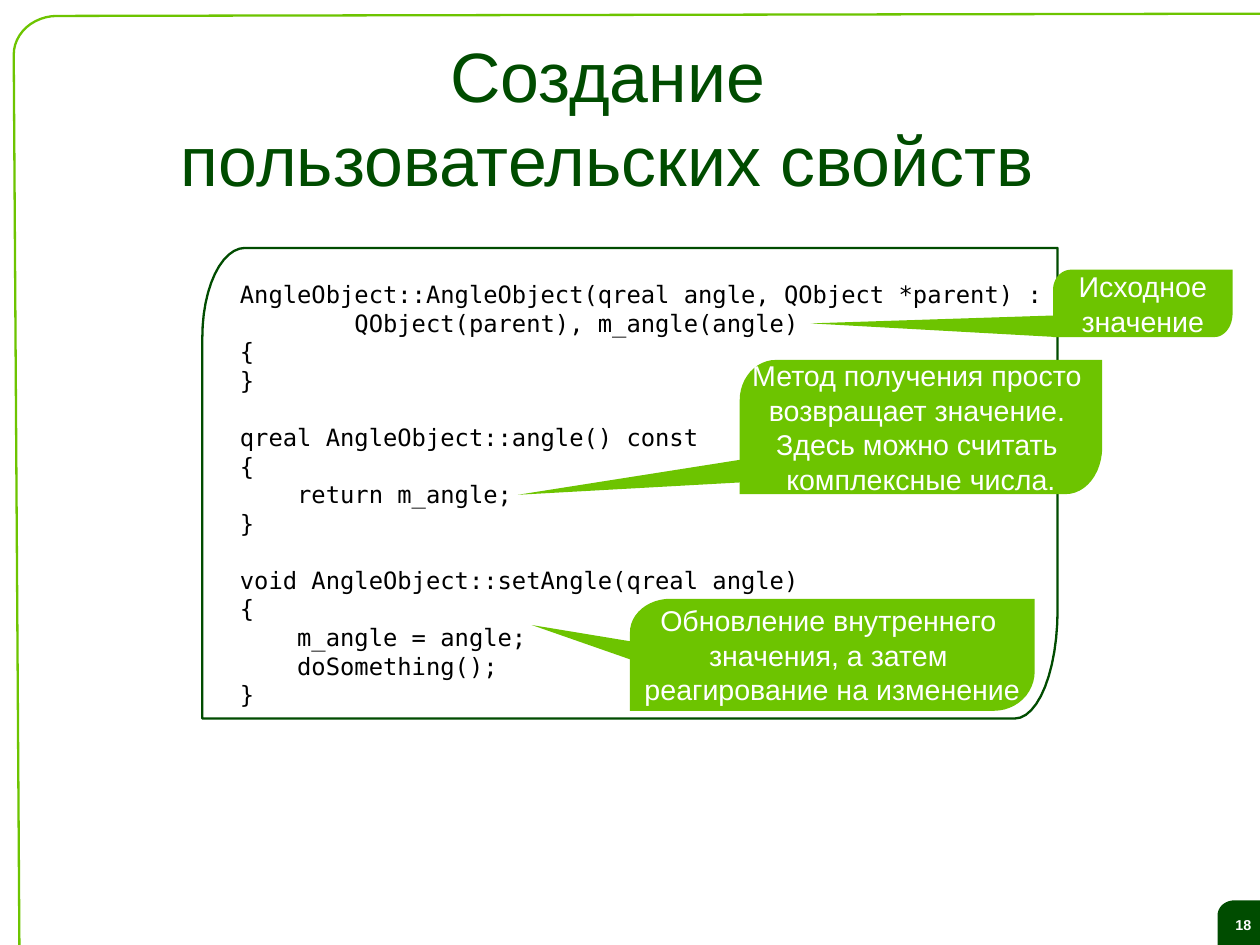
from math import cos, radians, sin

from pptx import Presentation
from pptx.dml.color import RGBColor
from pptx.enum.text import MSO_ANCHOR, PP_ALIGN
from pptx.util import Cm, Inches, Pt

CENTER, LEFT = PP_ALIGN.CENTER, PP_ALIGN.LEFT
MIDDLE, TOP = MSO_ANCHOR.MIDDLE, MSO_ANCHOR.TOP

TITLE = "Создание пользовательских свойств"
PAGE = "18"
CODE = [
    """AngleObject::AngleObject(qreal angle, QObject *parent) :
        QObject(parent), m_angle(angle)
{
}""",
    """qreal AngleObject::angle() const
{
    return m_angle;
}""",
    """void AngleObject::setAngle(qreal angle)
{
    m_angle = angle;
    doSomething();
}""",
]
CALLOUTS = [
    {"lines": ["Исходное", "значение"],
     "box": (83.58, 28.54, 14.25, 7.13),
     "pointer": [(83.94, 33.37), (64.34, 34.22), (83.94, 35.67)]},
    {"lines": ["Метод получения просто ", "возвращает значение. ",
               "Здесь можно считать ", "комплексные числа."],
     "box": (58.71, 38.09, 28.77, 14.2),
     "pointer": [(58.98, 48.61), (41.11, 52.36), (60.71, 50.91)]},
    {"lines": ["Обновление внутреннего ", "значения, а затем ",
               "реагирование на изменение"],
     "box": (50, 63.36, 32.12, 11.85),
     "pointer": [(53.63, 71.46), (42.2, 66.14), (55.35, 69.04)]},
]

THEME = {
    "dark": RGBColor(0x00, 0x4C, 0x00),
    "lime": RGBColor(0x6D, 0xC4, 0x00),
    "white": RGBColor(0xFF, 0xFF, 0xFF),
    "black": RGBColor(0x00, 0x00, 0x00),
    "sans": "Arial",
    "mono": "DejaVu Sans Mono",
    "title": 44, "title_pitch": 53,
    "callout": 18, "callout_pitch": 21.7,
    "code": 15, "code_pitch": 18,
    "page": 9,
    "line": 1.45,
}

TITLE_AREA = (12.52, 3.99, 71.42, 16.69)
CODE_FRAME = (16.06, 26.24, 67.88, 49.8)
CODE_AREA = (18.15, 29.02, 65.52, 48)
PAGE_BADGE = (96.64, 95.28, 4.08, 5.2)

deck = Presentation()
deck.slide_width, deck.slide_height = Cm(28), Cm(21)
slide = deck.slides.add_slide(deck.slide_layouts[5])


def across(share):
    return round(deck.slide_width * share / 100)


def down(share):
    return round(deck.slide_height * share / 100)


def place(area):
    x, y, w, h = area
    return across(x), down(y), across(w), down(h)


def corner(cx, cy, rx, ry, start):
    angles = [radians(start + step * 7.5) for step in range(13)]
    return [(cx + rx * cos(a), cy + ry * sin(a)) for a in angles]


def leaf(area, top_left, bottom_right=(0, 0)):
    x, y, w, h = area
    rx, ry = top_left[0] * w, top_left[1] * h
    points = corner(x + rx, y + ry, rx, ry, 180) + [(x + w, y)]
    if any(bottom_right):
        rx, ry = bottom_right[0] * w, bottom_right[1] * h
        points += corner(x + w - rx, y + h - ry, rx, ry, 0)
    else:
        points.append((x + w, y + h))
    return points + [(x, y + h)]


def outline(points, fill=None, line=None, close=True):
    first, *rest = [(across(x), down(y)) for x, y in points]
    builder = slide.shapes.build_freeform(*first)
    builder.add_line_segments(rest, close=close)
    shape = builder.convert_to_shape()
    shape.shadow.inherit = False
    if fill is None:
        shape.fill.background()
    else:
        shape.fill.solid()
        shape.fill.fore_color.rgb = fill
    if line is None:
        shape.line.fill.background()
    else:
        shape.line.color.rgb = line
        shape.line.width = Pt(THEME["line"])
    return shape


def write(shape, blocks, size, color, font=THEME["sans"], bold=False,
          align=CENTER, anchor=MIDDLE, wrap=False, pitch=None,
          insets=(0.11, 0.06)):
    frame = shape.text_frame
    frame.word_wrap = wrap
    frame.vertical_anchor = anchor
    frame.margin_left = frame.margin_right = Inches(insets[0])
    frame.margin_top = frame.margin_bottom = Inches(insets[1])
    paragraph = None
    for block in blocks:
        for row, line in enumerate(block):
            opens_block = paragraph is not None and row == 0
            paragraph = frame.add_paragraph() if paragraph else frame.paragraphs[0]
            paragraph.alignment = align
            if pitch:
                paragraph.line_spacing = Pt(pitch)
            if opens_block:
                paragraph.space_before = Pt(pitch)
            run = paragraph.add_run()
            run.text = line
            run.font.name = font
            run.font.size = Pt(size)
            run.font.bold = bold
            run.font.color.rgb = color


badge = outline(leaf(PAGE_BADGE, (0.33, 0.3)), fill=THEME["dark"])
write(badge, [[PAGE]], THEME["page"], THEME["white"], bold=True)

border = [(1.54, 100)] + corner(4.54, 5.8, 3.45, 4.11, 180) + [(100, 1.45)]
outline(border, line=THEME["lime"], close=False)

outline(leaf(CODE_FRAME, (0.05, 0.19), (0.05, 0.23)), line=THEME["dark"])
listing = slide.shapes.add_textbox(*place(CODE_AREA))
write(listing, [block.split("\n") for block in CODE], THEME["code"],
      THEME["black"], font=THEME["mono"], align=LEFT, anchor=TOP,
      pitch=THEME["code_pitch"], insets=(0.1, 0.05))

for callout in CALLOUTS:
    outline(callout["pointer"], fill=THEME["lime"])
    bubble = outline(leaf(callout["box"], (0.1, 0.3), (0.1, 0.35)),
                     fill=THEME["lime"])
    write(bubble, [callout["lines"]], THEME["callout"], THEME["white"],
          pitch=THEME["callout_pitch"])

heading = slide.shapes.title
heading.left, heading.top, heading.width, heading.height = place(TITLE_AREA)
write(heading, [[TITLE]], THEME["title"], THEME["dark"], wrap=True,
      pitch=THEME["title_pitch"], insets=(0, 0))

deck.save("out.pptx")
